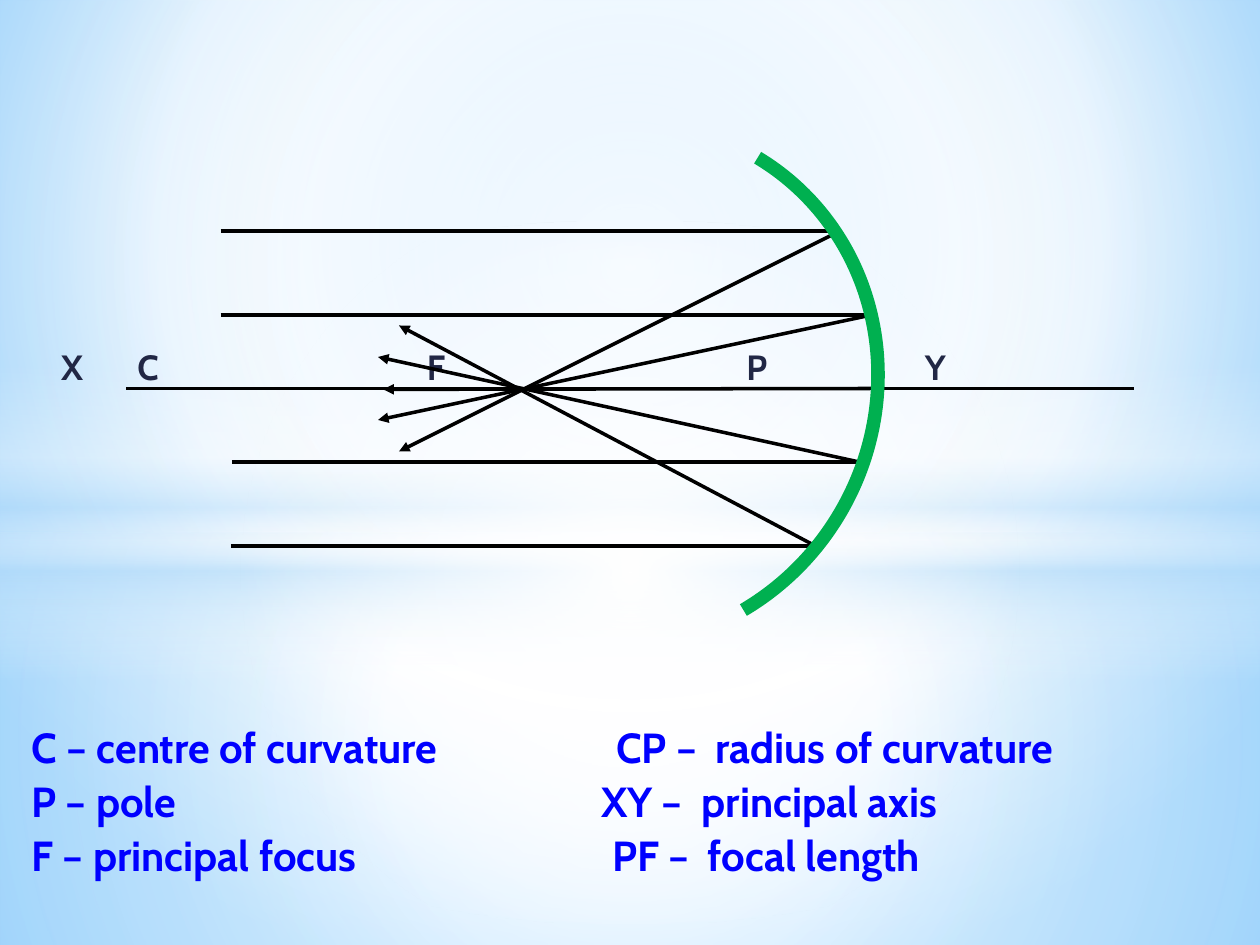
"""Build a slide showing parallel rays reflected by a concave mirror."""
from lxml import etree
from pptx import Presentation
from pptx.dml import color
from pptx.enum import shapes, text
from pptx.oxml import ns
from pptx.util import Pt


def rgb(value):
    return color.RGBColor.from_string(value)


def set_gradient(parent, stops, focus=None):
    gradient = etree.Element(ns.qn("a:gradFill"), rotWithShape="1")
    stop_list = etree.SubElement(gradient, ns.qn("a:gsLst"))
    for position, value, opacity in stops:
        stop = etree.SubElement(stop_list, ns.qn("a:gs"), pos=str(position * 1000))
        stop_color = etree.SubElement(stop, ns.qn("a:srgbClr"), val=value)
        if opacity < 100:
            etree.SubElement(stop_color, ns.qn("a:alpha"), val=str(opacity * 1000))
    if focus:
        path = etree.SubElement(gradient, ns.qn("a:path"), path="circle")
        sides = {side: str(share * 1000) for side, share in zip("ltrb", focus)}
        etree.SubElement(path, ns.qn("a:fillToRect"), **sides)
    else:
        etree.SubElement(gradient, ns.qn("a:lin"), ang="5400000", scaled="0")
    parent.replace(parent.find(ns.qn("a:solidFill")), gradient)


presentation = Presentation()
presentation.slide_width = Pt(720)
presentation.slide_height = Pt(540)
slide = presentation.slides.add_slide(presentation.slide_layouts[6])

WHITE, SKY = "FFFFFF", "B4DCFA"
CENTRE = (50, 50, 50, 50)
slide.background.fill.solid()
set_gradient(
    slide.element.find(".//" + ns.qn("p:bgPr")),
    [(0, "9ED5FF", 100), (60, WHITE, 100), (100, "5BB9FF", 100)],
    (20, 10, 20, 60),
)

RECTANGLE, OVAL = shapes.MSO_SHAPE.RECTANGLE, shapes.MSO_SHAPE.OVAL
glows = [
    (RECTANGLE, 304.5, 235.5, [(0, WHITE, 91), (37, WHITE, 76), (100, SKY, 79)], CENTRE),
    (RECTANGLE, 0, 304.5, [(0, WHITE, 89), (48, WHITE, 62), (100, SKY, 79)], CENTRE),
    (RECTANGLE, 209, 180, [(0, WHITE, 0), (29, WHITE, 30), (45, SKY, 40),
                           (55, WHITE, 26), (65, SKY, 60), (100, WHITE, 0)], None),
    (OVAL, 126, 402, [(0, WHITE, 100), (54, WHITE, 0)], CENTRE),
]
for kind, top, height, stops, focus in glows:
    glow = slide.shapes.add_shape(kind, 0, Pt(top), Pt(720), Pt(height))
    glow.shadow.inherit = False
    glow.line.fill.background()
    glow.fill.solid()
    set_gradient(glow.element.spPr, stops, focus)

axis_labels = [("X", 35), ("C", 78.5), ("F", 244), ("P", 426.5), ("Y", 528.5)]
legend = [
    ("C – centre of curvature", "CP –", "radius of curvature", 334, 391),
    ("P – pole", "XY –", "principal axis", 325.5, 383),
    ("F – principal focus", "PF –", "focal length", 332, 386.5),
]
boxes = [(left, 197.3, 30, 25, 20, "212745", [(label,)]) for label, left in axis_labels]
boxes.append((18, 418, 680, 90, 24, "0000FF", legend))
for left, top, width, height, size, ink, lines in boxes:
    box = slide.shapes.add_textbox(Pt(left), Pt(top), Pt(width), Pt(height))
    frame = box.text_frame
    frame.word_wrap = True
    frame.vertical_anchor = text.MSO_ANCHOR.TOP
    frame.margin_left = frame.margin_right = frame.margin_top = frame.margin_bottom = 0
    for index, line in enumerate(lines):
        paragraph = frame.add_paragraph() if index else frame.paragraphs[0]
        if len(line) > 1:
            tabs = etree.SubElement(paragraph._p.get_or_add_pPr(), ns.qn("a:tabLst"))
            for stop in line[3:]:
                etree.SubElement(tabs, ns.qn("a:tab"), pos=str(Pt(stop)), algn="l")
            paragraph.line_spacing = 0.8
            paragraph.space_before = Pt(4.8 if index else 0)
            paragraph.space_after = Pt(3)
        run = paragraph.add_run()
        run.text = "\t".join(line[:3])
        run.font.name = "Cabin"
        run.font.size = Pt(size)
        run.font.bold = True
        run.font.color.rgb = rgb(ink)

rays = [
    (72, 222, 648, 222, False),
    (126, 180, 499, 180, False),
    (132.5, 264, 493, 264, False),
    (126, 132, 480, 132, False),
    (132, 312, 468, 312, False),
    (480, 132, 228, 258, True),
    (498, 180, 216, 240, True),
    (491, 264, 216, 204, True),
    (466, 312, 228, 186, True),
    (504, 222, 219, 222.5, True),
]
for start_x, start_y, end_x, end_y, reflected in rays:
    ray = slide.shapes.add_connector(
        shapes.MSO_CONNECTOR.STRAIGHT, Pt(start_x), Pt(start_y), Pt(end_x), Pt(end_y)
    )
    ray.line.color.rgb = rgb("000000")
    ray.line.width = Pt(2)
    if reflected:
        etree.SubElement(ray.line._get_or_add_ln(), ns.qn("a:tailEnd"), type="triangle")
    etree.SubElement(ray._element.spPr, ns.qn("a:effectLst"))

mirror = slide.shapes.add_shape(shapes.MSO_SHAPE.ARC, Pt(210), Pt(68.5), Pt(290), Pt(302.5))
mirror.shadow.inherit = False
mirror.adjustments[0] = 161.83
mirror.adjustments[1] = 18.15
mirror.rotation = 31.3
mirror.fill.background()
mirror.line.color.rgb = rgb("00B050")
mirror.line.width = Pt(7.75)

presentation.save("out.pptx")
